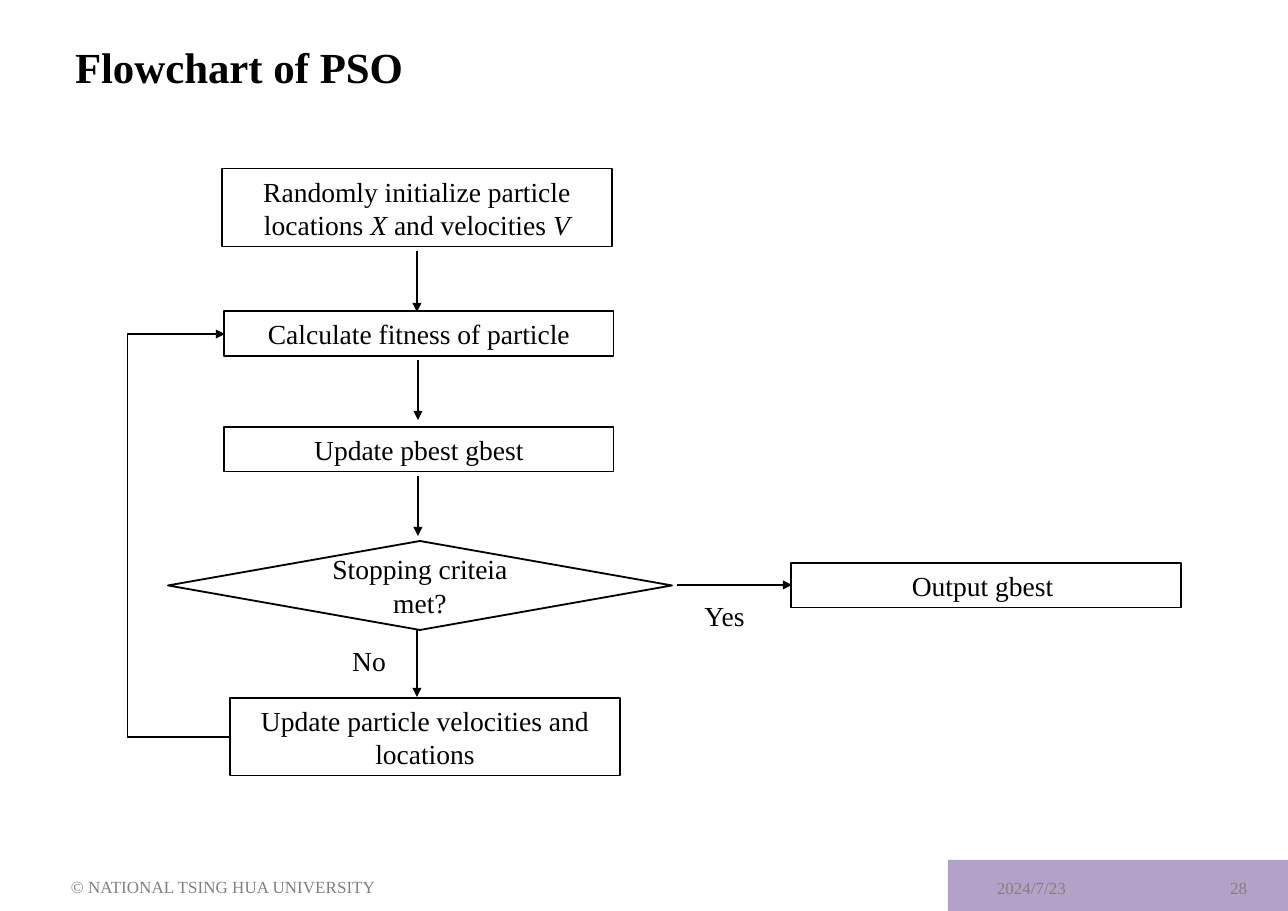
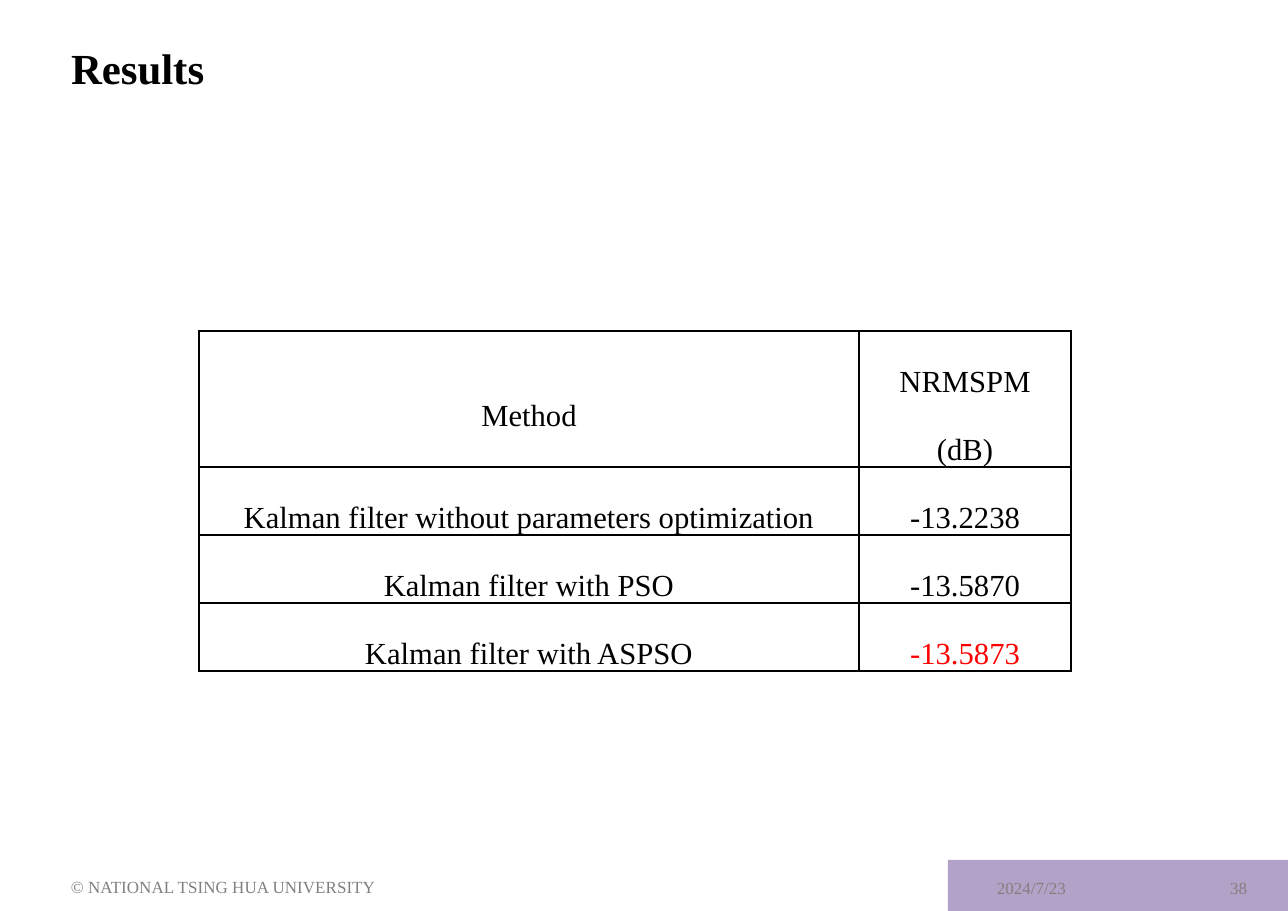
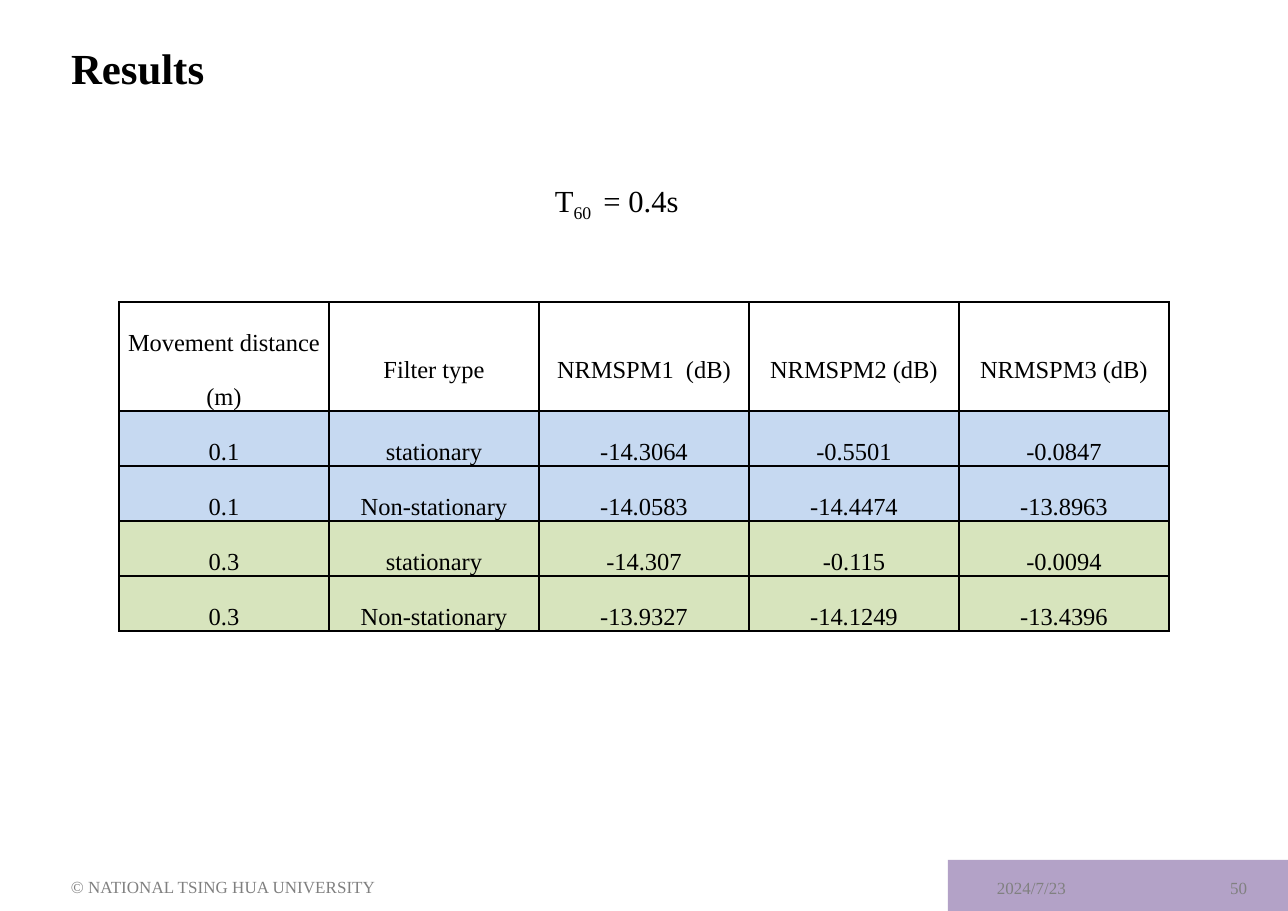
from dataclasses import dataclass
from lxml import etree
from pptx import Presentation
from pptx.dml.color import RGBColor
from pptx.enum.shapes import MSO_CONNECTOR, MSO_SHAPE
from pptx.enum.text import MSO_ANCHOR, MSO_AUTO_SIZE, PP_ALIGN
from pptx.oxml.ns import qn
from pptx.util import Pt

LEFT, MID, RIGHT = PP_ALIGN.LEFT, PP_ALIGN.CENTER, PP_ALIGN.RIGHT
CENTER = MSO_ANCHOR.MIDDLE
RECT, DIAMOND = MSO_SHAPE.RECTANGLE, MSO_SHAPE.DIAMOND
STRAIGHT, ELBOW = MSO_CONNECTOR.STRAIGHT, MSO_CONNECTOR.ELBOW
PX = 8298


@dataclass(frozen=True)
class Theme:
    face: str = "Times New Roman"
    ink: str = "000000"
    gray: str = "808080"
    band: str = "B3A2C7"
    red: str = "FF0000"
    blue: str = "C6D9F1"
    green: str = "D7E4BD"
    title: int = 28
    large: int = 20
    flow: int = 18
    small: int = 16
    foot: float = 11.1


theme = Theme()


def px(*nums):
    return [n * PX for n in nums]


def write(frame, parts, size, hue=theme.ink, bold=False, **form):
    """Fill a frame with one paragraph; odd parts are italic."""
    para = frame.paragraphs[0]
    for key, val in form.items():
        setattr(para, key, val)
    for i, text in enumerate(parts):
        run = para.add_run()
        run.text = text
        look = dict(name=theme.face, size=Pt(size), bold=bold, italic=i % 2 == 1)
        for key, val in look.items():
            setattr(run.font, key, val)
        run.font.color.rgb = RGBColor.from_string(hue)


deck = Presentation()
deck.slide_width, deck.slide_height = px(1288, 911)
layout = deck.slide_layouts[5]

# Titles and footers
heads = [
    ("Flowchart of PSO", "28", (64, 26, 858, 76), Pt(36.9)),
    ("Results", "38", (60, 24, 996, 76), 1.2),
    ("Results", "50", (60, 24, 858, 76), 1.2),
]
slides = []
for head, page, spot, lead in heads:
    slide = deck.slides.add_slide(layout)
    slides.append(slide)
    title = slide.shapes.title
    title.left, title.top, title.width, title.height = px(*spot)
    title.text_frame.auto_size = MSO_AUTO_SIZE.NONE
    title.text_frame.vertical_anchor = CENTER
    write(title.text_frame, [head], theme.title, bold=True,
          alignment=LEFT, line_spacing=lead)
    feet = [
        ("2024/7/23", (986, 866, 152, 43), LEFT),
        ("© NATIONAL TSING HUA UNIVERSITY", (60, 865, 352, 43), LEFT),
        (page, (1158, 866, 100, 43), RIGHT),
    ]
    for text, spot, side in feet:
        frame = slide.shapes.add_textbox(*px(*spot)).text_frame
        frame.word_wrap = True
        frame.vertical_anchor = CENTER
        write(frame, [text], theme.foot, theme.gray, alignment=side)

flow, brief, full = slides

# Shared band, moved to the layout
band = flow.shapes.add_shape(RECT, *px(948, 860, 340, 51))
band.shadow.inherit = False
band.fill.solid()
band.fill.fore_color.rgb = RGBColor.from_string(theme.band)
band.line.fill.background()
layout.shapes.element.append(band.element)

# Flowchart steps
WIDE, ONE, TWO = 390, 45, 78
steps = [
    (RECT, (222, 169, WIDE, TWO),
     ["Randomly initialize particle locations ", "X", " and velocities ", "V"]),
    (RECT, (224, 311, WIDE, ONE), ["Calculate fitness of particle"]),
    (RECT, (224, 427, WIDE, ONE), ["Update pbest gbest"]),
    (RECT, (791, 563, WIDE, ONE), ["Output gbest "]),
    (RECT, (230, 698, WIDE, TWO), ["Update particle velocities and locations"]),
    (DIAMOND, (168, 541, 504, 89), ["Stopping criteia met?"]),
]
for kind, spot, parts in steps:
    step = flow.shapes.add_shape(kind, *px(*spot))
    step.shadow.inherit = False
    step.fill.background()
    step.line.color.rgb = RGBColor.from_string(theme.ink)
    step.line.width = Pt(1.2 if kind == DIAMOND else 0.75)
    step.text_frame.word_wrap = True
    step.text_frame.vertical_anchor = CENTER
    write(step.text_frame, parts, theme.flow, alignment=MID)

# Branch labels
for text, spot in [("Yes", (693, 594, 63, 44)), ("No", (341, 639, 56, 44))]:
    frame = flow.shapes.add_textbox(*px(*spot)).text_frame
    frame.word_wrap = False
    write(frame, [text], theme.flow, alignment=MID)

# Arrows
arrows = [
    (STRAIGHT, 417, 251, 417, 312),
    (STRAIGHT, 418, 360, 418, 420),
    (STRAIGHT, 418, 476, 418, 536),
    (STRAIGHT, 417, 629, 417, 697),
    (STRAIGHT, 677, 585, 792, 585),
    (ELBOW, 231, 737, 225, 334),
]
BEND = 127
for kind, x1, y1, x2, y2 in arrows:
    arrow = flow.shapes.add_connector(kind, *px(x1, y1, x2, y2))
    arrow.line.color.rgb = RGBColor.from_string(theme.ink)
    arrow.line.width = Pt(0.75)
    props = arrow.element.find(qn("p:spPr"))
    etree.SubElement(props.find(qn("a:ln")), qn("a:tailEnd"), type="triangle")
    etree.SubElement(props, qn("a:effectLst"))
    if kind == ELBOW:
        ratio = round((x1 - BEND) / (x1 - x2) * 100000)
        guides = props.find(qn("a:prstGeom")).find(qn("a:avLst"))
        etree.SubElement(guides, qn("a:gd"), name="adj1", fmla=f"val {ratio}")

# Reverberation time
note = full.shapes.add_textbox(*px(544, 176, 645, 48))
note.text_frame.word_wrap = True
write(note.text_frame, ["T", "60 ", " = 0.4s"], theme.large)
sub = note.text_frame.paragraphs[0].runs[1]
sub.font.italic = False
note.element.findall(".//" + qn("a:rPr"))[1].set("baseline", "-25000")

# Result tables
methods = [
    ["Method", "NRMSPM (dB)"],
    ["Kalman filter without parameters optimization", "-13.2238"],
    ["Kalman filter with PSO", "-13.5870"],
    ["Kalman filter with ASPSO", "-13.5873"],
]
filters = [
    ["Movement distance (m)", "Filter type", "NRMSPM1  (dB)",
     "NRMSPM2 (dB)", "NRMSPM3 (dB)"],
    ["0.1", "stationary", "-14.3064", "-0.5501", "-0.0847"],
    ["0.1", "Non-stationary", "-14.0583", "-14.4474", "-13.8963"],
    ["0.3", "stationary", "-14.307", "-0.115", "-0.0094"],
    ["0.3", "Non-stationary", "-13.9327", "-14.1249", "-13.4396"],
]
tints = {"0.1": theme.blue, "0.3": theme.green}
BEST = "-13.5873"
grids = [
    (brief, methods, (199, 331), [660, 212], [136] + [68] * 3,
     theme.large, 44.3, 10),
    (full, filters, (119, 302), [210] * 5, [109] + [55] * 4,
     theme.small, 35.6, 8),
]
for slide, data, spot, cols, rows, size, lead, pad in grids:
    table = slide.shapes.add_table(
        len(rows), len(cols), *px(*spot, sum(cols), sum(rows))).table
    table.first_row = table.horz_banding = False
    for col, wide in zip(table.columns, cols):
        col.width = wide * PX
    for row, tall, texts in zip(table.rows, rows, data):
        row.height = tall * PX
        for cell, text in zip(row.cells, texts):
            inset = dict(margin_left=pad * PX, margin_right=pad * PX,
                         margin_top=0, margin_bottom=0, vertical_anchor=CENTER)
            for key, val in inset.items():
                setattr(cell, key, val)
            write(cell.text_frame, [text], size,
                  theme.red if text == BEST else theme.ink,
                  alignment=MID, line_spacing=Pt(lead))
            props = cell.text_frame._txBody.getparent().find(qn("a:tcPr"))
            for side in "LRTB":
                edge = etree.SubElement(props, qn("a:ln" + side), w=str(Pt(1)))
                fill = etree.SubElement(edge, qn("a:solidFill"))
                etree.SubElement(fill, qn("a:srgbClr"), val=theme.ink)
            if texts[0] in tints:
                cell.fill.solid()
                cell.fill.fore_color.rgb = RGBColor.from_string(tints[texts[0]])
            else:
                cell.fill.background()

deck.save("out.pptx")
